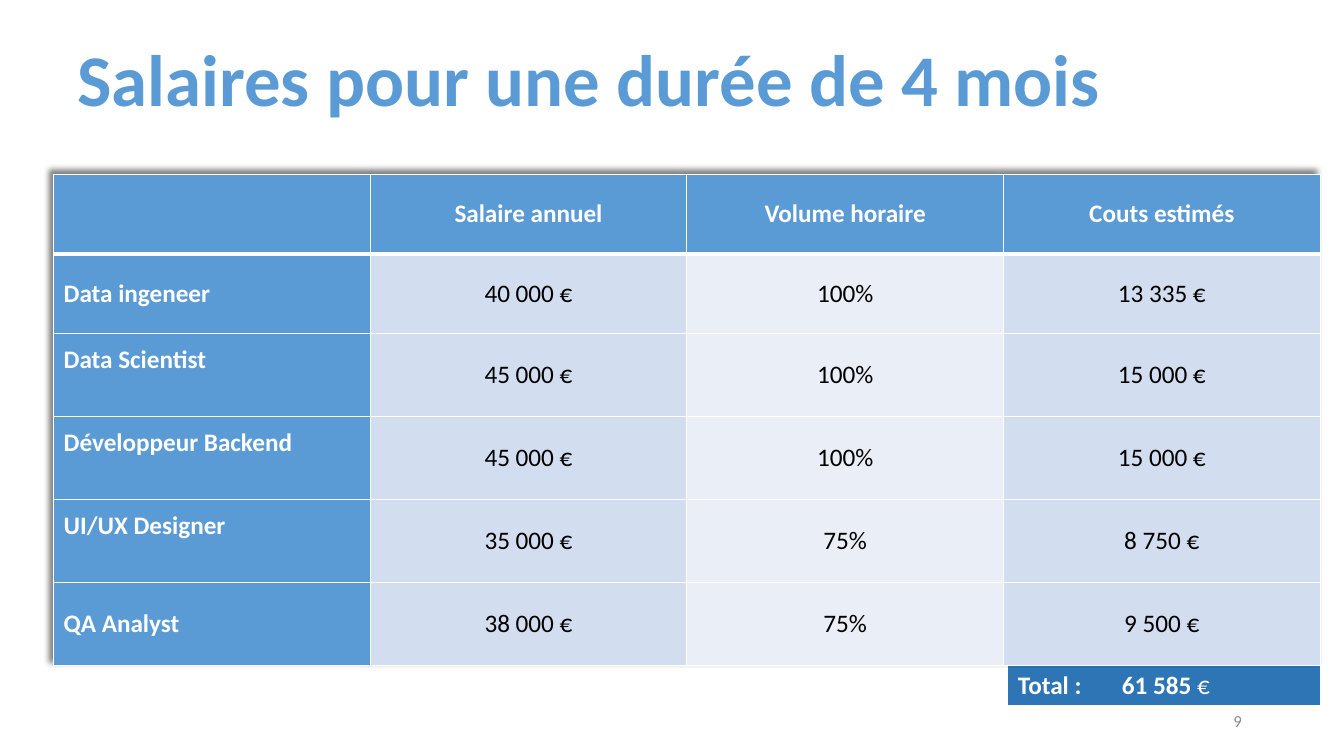
from dataclasses import dataclass

from lxml.etree import SubElement
from pptx import Presentation
from pptx.dml.color import RGBColor
from pptx.enum.text import MSO_ANCHOR, PP_ALIGN
from pptx.oxml.ns import qn
from pptx.slide import Slide
from pptx.table import Table, _Cell
from pptx.text.text import _Paragraph
from pptx.util import Cm, Length, Pt

BLUE = RGBColor(0x5B, 0x9B, 0xD5)
DARK_BLUE = RGBColor(0x2E, 0x75, 0xB6)
PALE_BLUE = RGBColor(0xD2, 0xDE, 0xEF)
PALER_BLUE = RGBColor(0xEA, 0xEF, 0xF7)
WHITE = RGBColor(0xFF, 0xFF, 0xFF)
BLACK = RGBColor(0, 0, 0)
GREY = RGBColor(0x8C, 0x8C, 0x8C)
FONT = "Calibri"
HEADERS = ("", "Salaire annuel", "Volume horaire", "Couts estimés")
COLUMN_FILLS = (BLUE, PALE_BLUE, PALER_BLUE, PALE_BLUE)
ROW_HEIGHTS = (2, 2, 2.09, 2.09, 2.09, 2.09)


@dataclass(frozen=True)
class Salary:
    role: str
    annual: str
    workload: str
    cost: str
    raised: bool = False


@dataclass(frozen=True)
class Label:
    text: str
    left: float
    top: float
    width: float
    height: float
    size: int
    color: RGBColor
    bold: bool
    align: PP_ALIGN
    line_spacing: float


SALARIES = (
    Salary("Data ingeneer", "40 000 €", "100%", "13 335 €"),
    Salary("Data Scientist", "45 000 €", "100%", "15 000 €", raised=True),
    Salary("Développeur Backend", "45 000 €", "100%", "15 000 €", raised=True),
    Salary("UI/UX Designer", "35 000 €", "75%", "8 750 €", raised=True),
    Salary("QA Analyst", "38 000 €", "75%", "9 500 €"),
)
TITLE = Label("Salaires pour une durée de 4 mois", 1.7, 0.25, 29.21, 3.68,
              52, BLUE, True, PP_ALIGN.LEFT, 0.9)
PAGE_NUMBER = Label("9", 23.93, 17.65, 7.62, 1.02,
                    12, GREY, False, PP_ALIGN.RIGHT, 1.0)


def format_paragraph(para: _Paragraph, size: int, color: RGBColor, bold: bool) -> None:
    for span in para.runs:
        span.font.name = FONT
        span.font.size = Pt(size)
        span.font.bold = bold
        span.font.color.rgb = color


def add_label(page: Slide, label: Label) -> None:
    box = page.shapes.add_textbox(Cm(label.left), Cm(label.top), Cm(label.width), Cm(label.height))
    frame = box.text_frame
    frame.word_wrap = True
    frame.vertical_anchor = MSO_ANCHOR.MIDDLE
    frame.text = label.text
    para = frame.paragraphs[0]
    para.alignment = label.align
    para.line_spacing = label.line_spacing
    format_paragraph(para, label.size, label.color, label.bold)


def add_plain_table(page: Slide, rows: int, columns: int, left: Length, top: Length,
                    width: Length, height: Length) -> Table:
    table = page.shapes.add_table(rows, columns, left, top, width, height).table
    table.first_row = False
    table.horz_banding = False
    return table


def paint_cell(cell: _Cell, fill: RGBColor, top: float = 1, bottom: float = 1) -> None:
    cell.fill.solid()
    cell.fill.fore_color.rgb = fill
    properties = cell._tc.get_or_add_tcPr()
    sides = (("a:lnL", 1), ("a:lnR", 1), ("a:lnT", top), ("a:lnB", bottom))
    for position, (tag, width) in enumerate(sides):
        line = SubElement(properties, qn(tag), w=str(Pt(width)))
        SubElement(SubElement(line, qn("a:solidFill")), qn("a:srgbClr"), val=str(WHITE))
        properties.insert(position, line)


def add_table_shadow(table: Table) -> None:
    properties = table._tbl.tblPr
    effects = SubElement(properties, qn("a:effectLst"))
    properties.insert(0, effects)
    shadow = SubElement(effects, qn("a:outerShdw"), blurRad=str(Pt(4)), dist=str(Pt(4)),
                        dir="13500000", algn="br", rotWithShape="0")
    color = SubElement(shadow, qn("a:srgbClr"), val=str(BLACK))
    SubElement(color, qn("a:alpha"), val="50000")


def add_total(page: Slide) -> None:
    table = add_plain_table(page, 1, 1, Cm(25.4), Cm(16.76), Cm(7.87), Cm(1.02))
    cell = table.cell(0, 0)
    paint_cell(cell, DARK_BLUE)
    cell.text_frame.text = "Total :\t61 585 "
    para = cell.text_frame.paragraphs[0]
    para.add_run().text = "€"
    format_paragraph(para, 18, WHITE, True)
    para.runs[-1].font.bold = False
    tabs = SubElement(para._p.get_or_add_pPr(), qn("a:tabLst"))
    SubElement(tabs, qn("a:tab"), pos=str(Cm(2.62)), algn="l")


def add_salaries(page: Slide) -> None:
    table = add_plain_table(page, len(ROW_HEIGHTS), len(HEADERS), Cm(1.35), Cm(4.4),
                            Cm(31.92), Cm(sum(ROW_HEIGHTS)))
    add_table_shadow(table)
    for row, height in zip(table.rows, ROW_HEIGHTS):
        row.height = Cm(height)
    records = [HEADERS] + [(item.role, item.annual, item.workload, item.cost) for item in SALARIES]
    for row_index, record in enumerate(records):
        is_header = row_index == 0
        for column_index, text in enumerate(record):
            cell = table.cell(row_index, column_index)
            is_role = column_index == 0
            strong = is_header or is_role
            paint_cell(cell, BLUE if is_header else COLUMN_FILLS[column_index],
                       top=3 if row_index == 1 else 1, bottom=3 if is_header else 1)
            cell.vertical_anchor = MSO_ANCHOR.MIDDLE
            cell.text_frame.text = text
            para = cell.text_frame.paragraphs[0]
            para.alignment = PP_ALIGN.LEFT if is_role else PP_ALIGN.CENTER
            format_paragraph(para, 18, WHITE if strong else BLACK, strong)
    for row_index, salary in enumerate(SALARIES, start=1):
        if salary.raised:
            table.cell(row_index, 0).margin_bottom = Cm(0.9)


def main() -> None:
    deck = Presentation()
    deck.slide_width = Cm(33.87)
    deck.slide_height = Cm(19.05)
    page = deck.slides.add_slide(deck.slide_layouts[6])
    add_label(page, TITLE)
    add_total(page)
    add_salaries(page)
    add_label(page, PAGE_NUMBER)
    deck.save("out.pptx")


if __name__ == "__main__":
    main()
